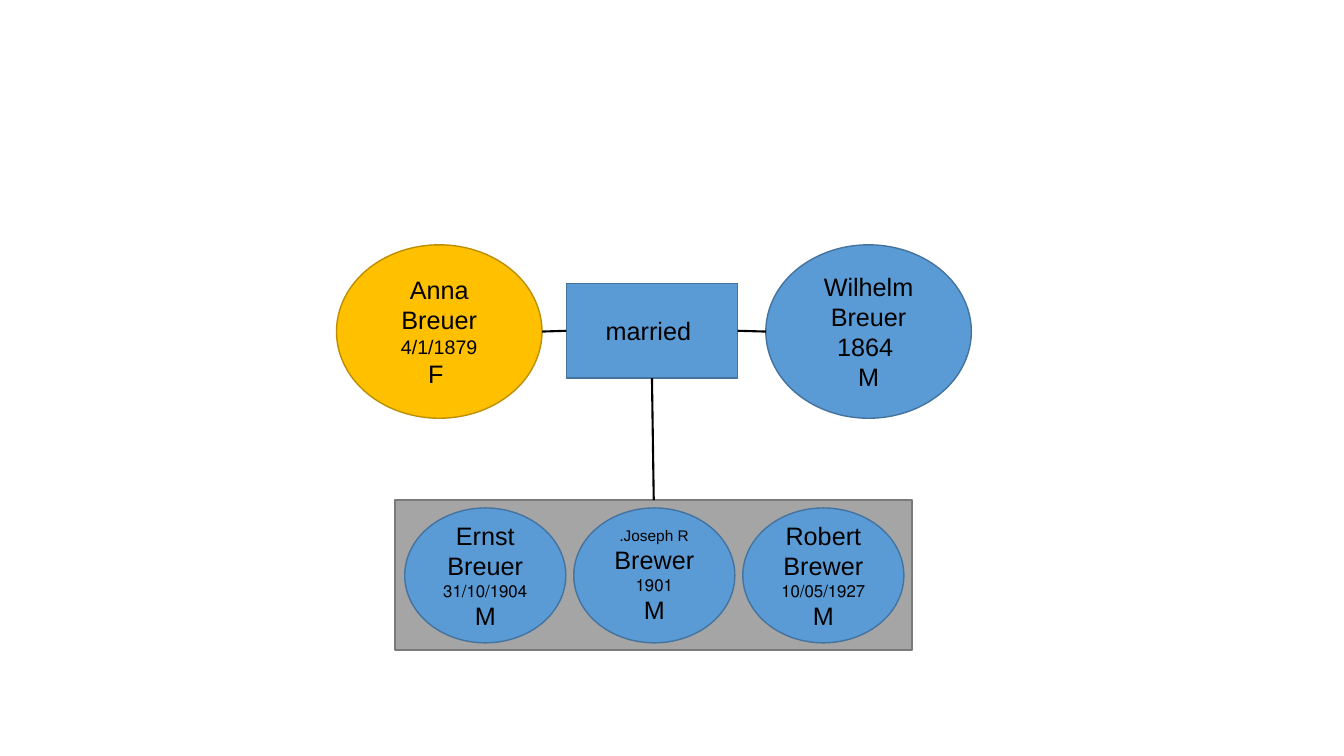
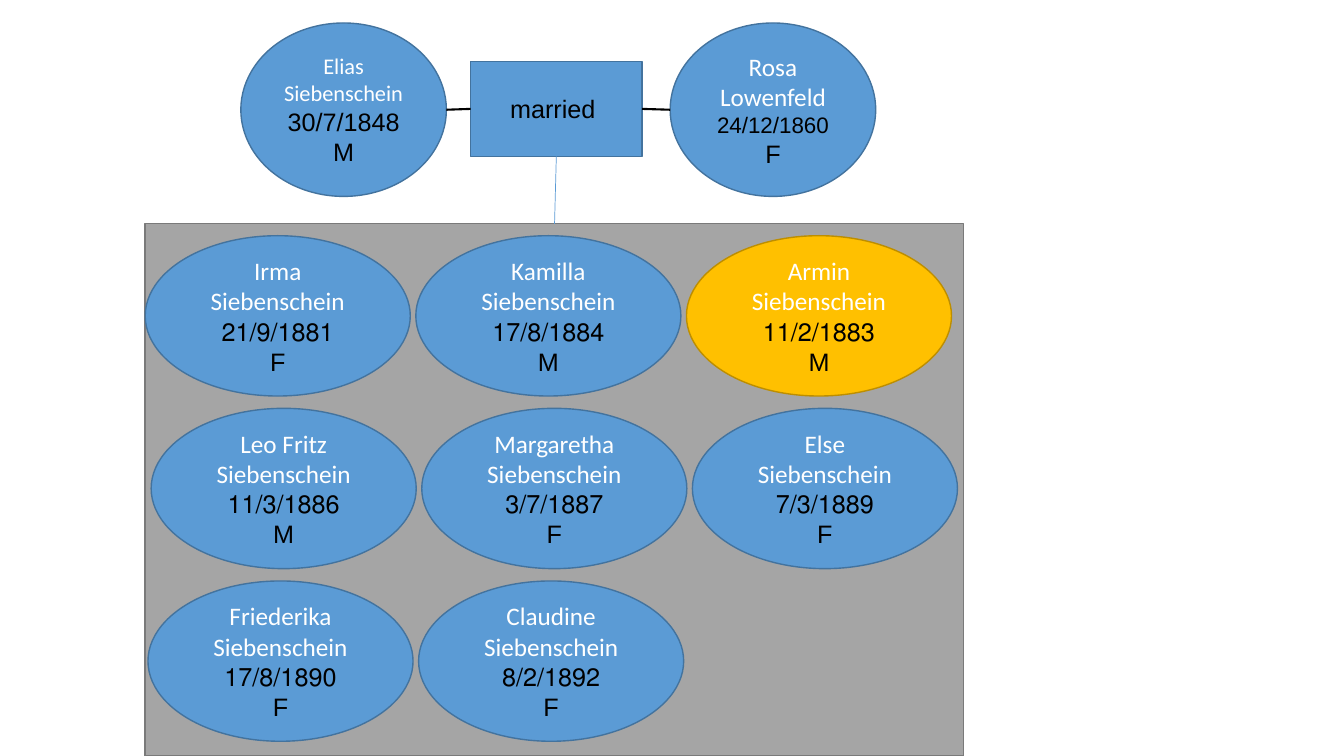
from pptx import Presentation
from pptx.dml.color import RGBColor
from pptx.enum.shapes import MSO_CONNECTOR, MSO_SHAPE
from pptx.enum.text import MSO_ANCHOR, PP_ALIGN
from pptx.oxml.ns import qn
from pptx.util import Cm, Pt

HEX = {
    "blue": "5B9BD5", "blue_edge": "43739E",
    "gold": "FFC000", "gold_edge": "BD8E00",
    "gray": "A5A5A5", "gray_edge": "7A7A7A",
    "black": "000000", "white": "FFFFFF",
}
DARK = ("Arial", "black")
LIGHT = ("Calibri", "white")

ANNA = [("Anna Breuer", 18, DARK), ("4/1/1879", 14, DARK), ("F ", 18, DARK)]
WILHELM = [("Wilhelm Breuer", 18, DARK), ("1864 ", 18, DARK), ("M", 18, DARK)]
SONS = [
    [("Ernst", 18, DARK), ("Breuer", 18, DARK),
     ("31/10/1904", 12, DARK), ("M", 18, DARK)],
    [("Joseph R.", 11, DARK), ("Brewer", 18, DARK),
     ("1901", 12, DARK), ("M", 18, DARK)],
    [("Robert Brewer", 18, DARK), ("10/05/1927", 12, DARK), ("M", 18, DARK)],
]

ELIAS = [("Elias Siebenschein", 16, LIGHT), ("30/7/1848", 18, DARK), ("M", 18, DARK)]
ROSA = [("Rosa Lowenfeld", 18, LIGHT), ("24/12/1860", 16, DARK), ("F", 18, DARK)]
ROWS = [
    (3.66, [("Irma", "21/9/1881", "F"), ("Kamilla", "17/8/1884", "M"),
            ("Armin", "11/2/1883", "M")]),
    (3.81, [("Leo Fritz", "11/3/1886", "M"), ("Margaretha", "3/7/1887", "F"),
            ("Else", "7/3/1889", "F")]),
    (3.73, [("Friederika", "17/8/1890", "F"), ("Claudine", "8/2/1892", "F")]),
]


def color(name):
    return RGBColor.from_string(HEX[name])


def add_box(slide, kind, area, tone, lines=(), rtl=False):
    box = slide.shapes.add_shape(kind, *map(Cm, area))
    box.shadow.inherit = False
    box.fill.solid()
    box.fill.fore_color.rgb = color(tone)
    box.line.color.rgb = color(tone + "_edge")
    box.line.width = Pt(1)
    frame = box.text_frame
    frame.word_wrap = True
    frame.vertical_anchor = MSO_ANCHOR.MIDDLE
    frame.text = "\n".join(text for text, size, style in lines)
    for para, (text, size, (face, ink)) in zip(frame.paragraphs, lines):
        para.alignment = PP_ALIGN.CENTER
        if rtl:
            para._p.get_or_add_pPr().set("rtl", "1")
        for run in para.runs:
            run.font.size = Pt(size)
            run.font.name = face
            run.font.color.rgb = color(ink)
    return box


def add_oval(slide, area, lines, tone="blue", rtl=False):
    return add_box(slide, MSO_SHAPE.OVAL, area, tone, lines, rtl)


def add_line(slide, box, side, end=(0, 0), tone="black", width=1.5):
    line = slide.shapes.add_connector(MSO_CONNECTOR.STRAIGHT, 0, 0, *end)
    line.begin_connect(box, side)
    line.line.color.rgb = color(tone)
    line.line.width = Pt(width)
    props = line._element.spPr
    props.append(props.makeelement(qn("a:effectLst"), {}))
    return line


def add_pair(slide, x, y, first, second, tone="blue"):
    left = add_oval(slide, (x, y, 5.18, 4.37), first, tone)
    right = add_oval(slide, (x + 10.82, y, 5.18, 4.37), second)
    bond = add_box(slide, MSO_SHAPE.RECTANGLE, (x + 5.79, y + 0.97, 4.32, 2.39),
                   "blue", [("married ", 18, DARK)])
    mid = left.top + left.height // 2
    add_line(slide, bond, 1, (left.left + left.width, mid))
    add_line(slide, bond, 3, (right.left, mid))
    return bond


def add_panel(slide, area, bond, tone="black", width=1.5):
    panel = add_box(slide, MSO_SHAPE.RECTANGLE, area, "gray")
    add_line(slide, bond, 2, tone=tone, width=width).end_connect(panel, 0)


def add_breuer(slide):
    bond = add_pair(slide, 8.48, 6.17, ANNA, WILHELM, "gold")
    add_panel(slide, (9.96, 12.6, 13.03, 3.78), bond)
    for col, son in enumerate(SONS):
        add_oval(slide, (10.2 + col * 4.26, 12.8, 4.06, 3.4), son, rtl=True)


def add_sieben(slide):
    bond = add_pair(slide, 6.07, 0.58, ELIAS, ROSA)
    add_panel(slide, (3.66, 5.64, 20.8 - 0.17, 13.41), bond, "blue", 0.5)
    for row, (x, kids) in enumerate(ROWS):
        for col, (name, born, sex) in enumerate(kids):
            lines = [(name + " Siebenschein", 18, LIGHT),
                     (born, 18, DARK), (sex, 18, DARK)]
            tone = "gold" if name == "Armin" else "blue"
            area = (x + col * 6.82, 5.94 + row * 4.35, 6.68, 4.04)
            add_oval(slide, area, lines, tone, rtl=True)


def main():
    deck = Presentation()
    deck.slide_width, deck.slide_height = Cm(33.87), Cm(19.05)
    for build in (add_breuer, add_sieben):
        build(deck.slides.add_slide(deck.slide_layouts[6]))
    deck.save("out.pptx")


if __name__ == "__main__":
    main()
